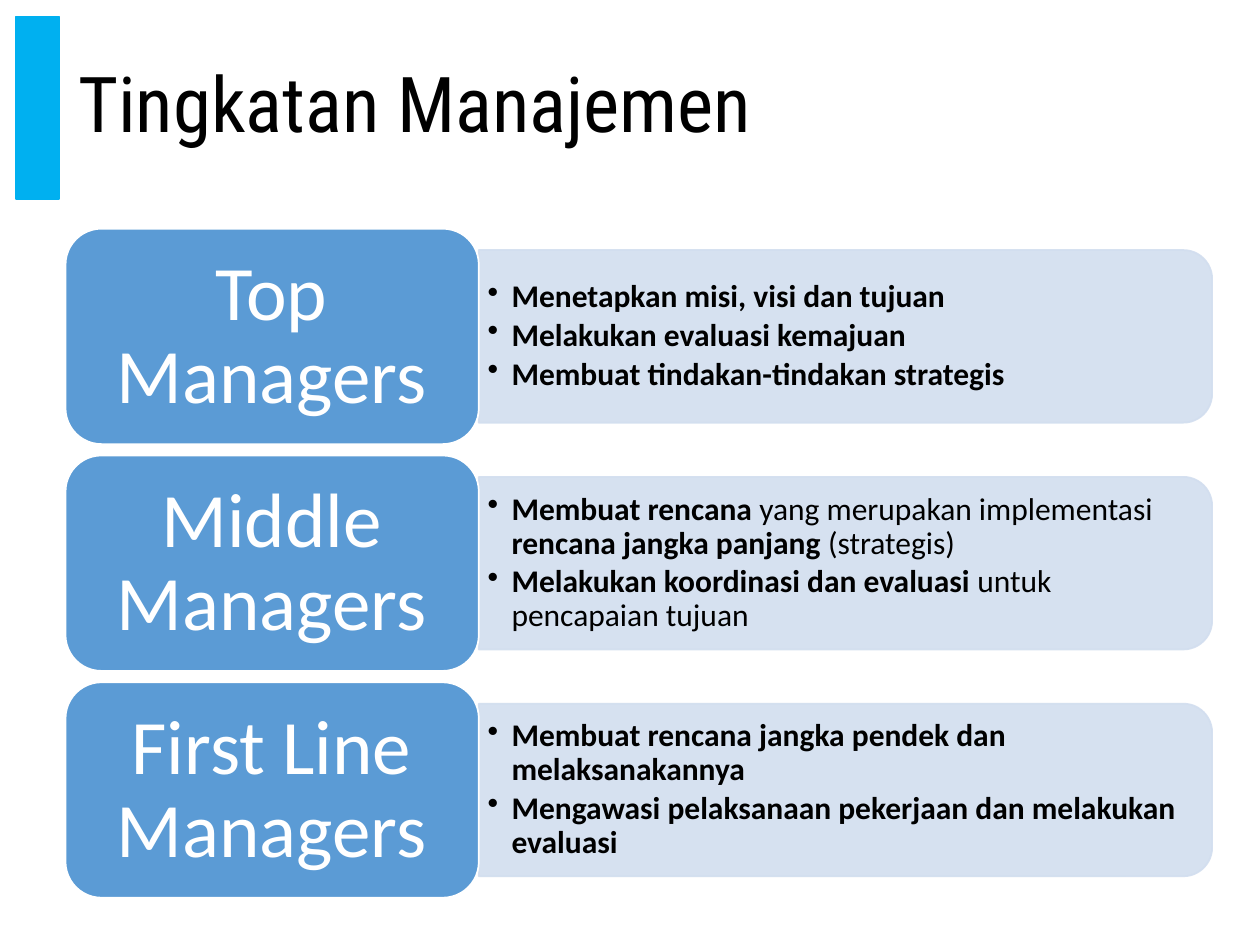
from dataclasses import dataclass

from lxml import etree
from pptx import Presentation
from pptx.dml.color import RGBColor
from pptx.enum.shapes import MSO_SHAPE
from pptx.enum.text import MSO_ANCHOR, MSO_AUTO_SIZE, PP_ALIGN
from pptx.oxml.ns import qn
from pptx.util import Inches, Pt

RECT = MSO_SHAPE.RECTANGLE
ROUND = MSO_SHAPE.ROUNDED_RECTANGLE
TAB = MSO_SHAPE.ROUND_2_SAME_RECTANGLE
MIDDLE = MSO_ANCHOR.MIDDLE
FIXED = MSO_AUTO_SIZE.NONE
LEFT, CENTER = PP_ALIGN.LEFT, PP_ALIGN.CENTER

CYAN, BLUE, PALE = "00B0F0", "5B9BD5", "D2DEEF"
BLACK, WHITE = "000000", "FFFFFF"

# Row grid, in inches
FIRST, STEP = 2.67, 1.8
EDGE, SPLIT = 0.52, 3.8
CARD_H, PANEL_W, PANEL_H = 1.71, 5.82, 1.37


@dataclass
class Span:
    text: str
    bold: bool = True


@dataclass
class Tier:
    name: str
    points: list[list[Span]]


TIERS = [
    Tier("Top Managers", [
        [Span("Menetapkan misi, visi dan tujuan")],
        [Span("Melakukan evaluasi kemajuan")],
        [Span("Membuat tindakan-tindakan strategis")],
    ]),
    Tier("Middle Managers", [
        [Span("Membuat rencana "), Span("yang merupakan implementasi ", False),
         Span("rencana jangka panjang "), Span("(strategis)", False)],
        [Span("Melakukan koordinasi dan evaluasi "),
         Span("untuk pencapaian tujuan", False)],
    ]),
    Tier("First Line Managers", [
        [Span("Membuat rencana jangka pendek dan melaksanakannya")],
        [Span("Mengawasi pelaksanaan pekerjaan dan melakukan evaluasi")],
    ]),
]


def color(code: str) -> RGBColor:
    return RGBColor.from_string(code)


def add_box(slide, kind, x: float, y: float, w: float, h: float,
            fill: str, line: str):
    box = slide.shapes.add_shape(kind, Inches(x), Inches(y), Inches(w), Inches(h))
    box.shadow.inherit = False
    box.fill.solid()
    box.fill.fore_color.rgb = color(fill)
    box.line.color.rgb = color(line)
    box.line.width = Pt(1)
    return box


def add_text(slide, x: float, y: float, w: float, h: float,
             side: float, top: float):
    frame = slide.shapes.add_textbox(
        Inches(x), Inches(y), Inches(w), Inches(h)).text_frame
    frame.word_wrap = True
    frame.auto_size = FIXED
    frame.vertical_anchor = MIDDLE
    frame.margin_left = frame.margin_right = Inches(side)
    frame.margin_top = frame.margin_bottom = Inches(top)
    return frame


def add_run(para, text: str, size: int, code: str, font: str = "Calibri",
            bold: bool = False) -> None:
    run = para.add_run()
    run.text = text
    run.font.name = font
    run.font.size = Pt(size)
    run.font.bold = bold
    run.font.color.rgb = color(code)


def set_bullet(para) -> None:
    props = para._p.get_or_add_pPr()
    props.set("marL", str(Inches(0.19)))
    props.set("indent", str(-Inches(0.19)))
    etree.SubElement(props, qn("a:buChar")).set("char", "•")


def add_panel(slide, mid: float) -> None:
    # Turned a quarter, so width and height trade places
    x = SPLIT + (PANEL_W - PANEL_H) / 2
    panel = add_box(slide, TAB, x, mid - PANEL_W / 2, PANEL_H, PANEL_W, PALE, PALE)
    panel.rotation = 90
    for tint in panel._element.spPr.iter(qn("a:srgbClr")):
        etree.SubElement(tint, qn("a:alpha")).set("val", "90000")


def add_points(slide, mid: float, points: list[list[Span]]) -> None:
    frame = add_text(slide, SPLIT, mid - 0.62, 5.76, 1.24, 0.07, 0.04)
    for i, spans in enumerate(points):
        para = frame.add_paragraph() if i else frame.paragraphs[0]
        para.level = 1
        para.alignment = LEFT
        para.line_spacing = 0.9
        para.space_after = Pt(2.7)
        set_bullet(para)
        for span in spans:
            add_run(para, span.text, 18, BLACK, bold=span.bold)


def add_card(slide, mid: float, name: str) -> None:
    add_box(slide, ROUND, EDGE, mid - CARD_H / 2, SPLIT - EDGE, CARD_H, BLUE, WHITE)
    frame = add_text(slide, 0.6, mid - 0.77, 3.11, 1.55, 0.18, 0.09)
    para = frame.paragraphs[0]
    para.alignment = CENTER
    para.line_spacing = 0.9
    add_run(para, name, 44, WHITE)


def add_title(slide, text: str) -> None:
    title = slide.shapes.title
    title.left, title.top = Inches(EDGE), Inches(0.13)
    title.width, title.height = Inches(9.1), Inches(1.45)
    frame = title.text_frame
    frame.auto_size = FIXED
    frame.vertical_anchor = MIDDLE
    para = frame.paragraphs[0]
    para.alignment = LEFT
    para.line_spacing = 0.9
    add_run(para, text, 44, BLACK, "Roboto Condensed")


def main() -> None:
    deck = Presentation()
    deck.slide_width, deck.slide_height = Inches(10), Inches(7.5)
    slide = deck.slides.add_slide(deck.slide_layouts[5])

    # Heading with accent bar
    add_box(slide, RECT, 0.13, 0.13, 0.34, 1.45, CYAN, CYAN)
    add_title(slide, "Tingkatan Manajemen")

    # One row per tier
    for i, tier in enumerate(TIERS):
        mid = FIRST + i * STEP
        add_panel(slide, mid)
        add_points(slide, mid, tier.points)
        add_card(slide, mid, tier.name)

    deck.save("out.pptx")


if __name__ == "__main__":
    main()
